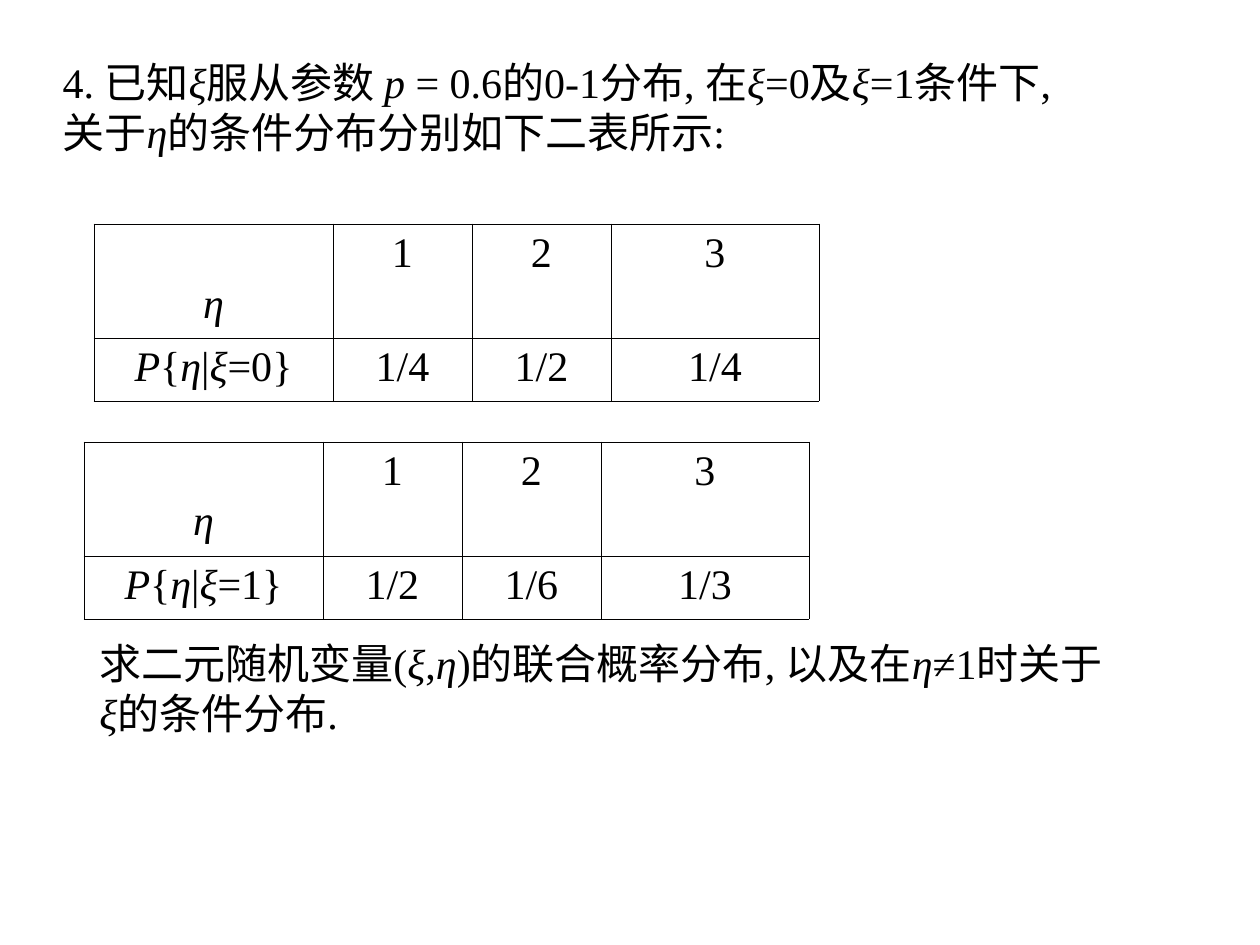
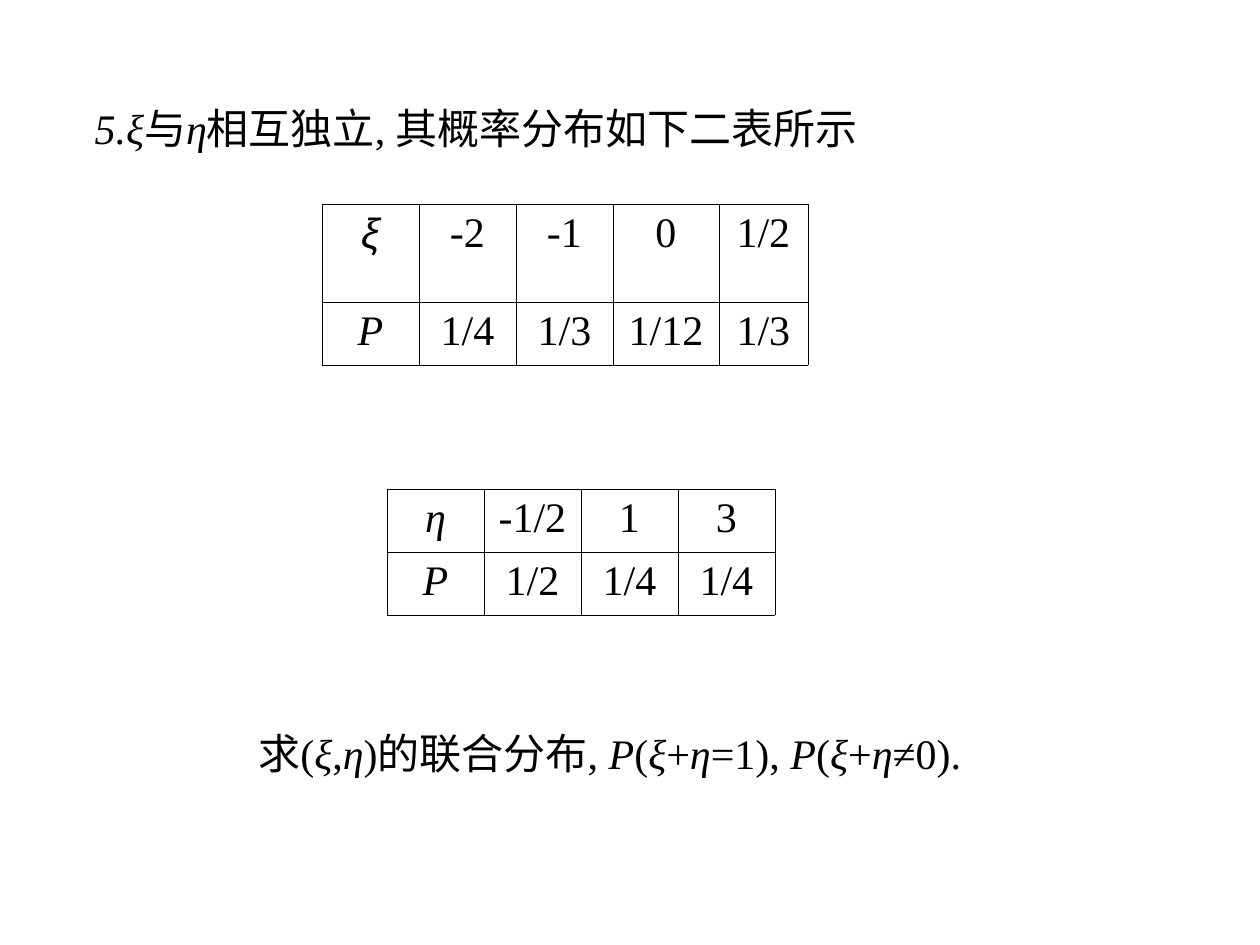
"""Build two exercise slides on conditional and joint distributions."""
from lxml import etree
from pptx import Presentation
from pptx.enum import text
from pptx.dml.color import RGBColor
from pptx.oxml import ns
from pptx.util import Emu, Pt

HUE = {"ink": "000000", "rule": "010000"}
SERIF, SANS = "Times New Roman", "Arial"
SIZE, RULE = 24, 0.45
WIDE = [239, 139, 139, 208]
SLIDES = [
    {
        "title": ((50, 50, 1166, 113), [
            "4. 已知*ξ*服从参数 *p *= 0.6的0-1分布, 在*ξ*=0及*ξ*=1条件下,",
            "关于*η*的条件分布分别如下二表所示:"]),
        "tables": [
            {"at": (94, 224), "cols": WIDE, "rows": [114, 63], "low": True,
             "cells": [["*η*", "1", "2", "3"],
                       ["*P*{*η*|*ξ*=0}", "1/4", "1/2", "1/4"]]},
            {"at": (84, 442), "cols": WIDE, "rows": [114, 63], "low": True,
             "cells": [["*η*", "1", "2", "3"],
                       ["*P*{*η*|*ξ*=1}", "1/2", "1/6", "1/3"]]},
        ],
        "ask": ((87, 631, 1089, 113), [
            "求二元随机变量(*ξ*,*η*)的联合概率分布, 以及在*η*≠1时关于",
            "*ξ*的条件分布."]),
    },
    {
        "title": ((82, 96, 839, 63), ["*5.ξ*与*η*相互独立, 其概率分布如下二表所示"]),
        "tables": [
            {"at": (322, 204), "cols": [97, 97, 97, 106, 89], "rows": [98, 63],
             "face": SANS,
             "cells": [["*ξ*", "-2", "-1", "0", "1/2"],
                       ["*P*", "1/4", "1/3", "1/12", "1/3"]]},
            {"at": (387, 489), "cols": [97] * 4, "rows": [63, 63],
             "cells": [["*η*", "-1/2", "1", "3"],
                       ["*P*", "1/2", "1/4", "1/4"]]},
        ],
        "ask": ((246, 721, 759, 63), [
            "求(*ξ*,*η*)的联合分布, *P*(*ξ*+*η*=1), *P*(*ξ*+*η*≠0)."]),
    },
]


def px(n):
    """Turn pixels into EMU."""
    return Emu(round(n * 914400 / 126))


def write(frame, lines, face=SERIF, align=text.PP_ALIGN.LEFT):
    """Fill a text frame; parts between asterisks are italic."""
    for i, line in enumerate(lines):
        para = frame.paragraphs[0] if i == 0 else frame.add_paragraph()
        para.alignment = align
        for k, part in enumerate(line.split("*")):
            if part:
                run = para.add_run()
                run.text = part
                font = run.font
                font.name, font.size, font.italic = face, Pt(SIZE), k % 2 == 1
                font.color.rgb = RGBColor.from_string(HUE["ink"])


def place(shape, box, lines):
    """Move a text shape and write its lines."""
    shape.left, shape.top, shape.width, shape.height = map(px, box)
    frame = shape.text_frame
    frame.word_wrap = False
    frame.auto_size = text.MSO_AUTO_SIZE.NONE
    frame.vertical_anchor = text.MSO_ANCHOR.MIDDLE
    write(frame, lines)


def edge(cell):
    """Rule all four sides of a cell and clear its fill."""
    props = cell._tc.get_or_add_tcPr()
    for side in "LRTB":
        line = etree.SubElement(props, ns.qn(f"a:ln{side}"), w=str(Pt(RULE)))
        fill = etree.SubElement(line, ns.qn("a:solidFill"))
        etree.SubElement(fill, ns.qn("a:srgbClr"), val=HUE["rule"])
    cell.fill.background()


def grid(slide, at, cols, rows, cells, face=SERIF, low=False):
    """Add a ruled table with centred entries."""
    size = sum(cols), sum(rows)
    table = slide.shapes.add_table(
        len(rows), len(cols), *map(px, at + size)).table
    table.first_row = table.horz_banding = False
    for col, wide in zip(table.columns, cols):
        col.width = px(wide)
    for r, (row, tall) in enumerate(zip(table.rows, rows)):
        row.height = px(tall)
        for c, cell in enumerate(row.cells):
            head = r == c == 0
            write(cell.text_frame, [cells[r][c]], face if head else SERIF,
                  text.PP_ALIGN.CENTER)
            edge(cell)
            if head and low:
                cell.vertical_anchor = text.MSO_ANCHOR.BOTTOM
                cell.margin_bottom = px(11)


def main():
    """Build and save the slides."""
    deck = Presentation()
    deck.slide_width, deck.slide_height = px(1260), px(945)
    for item in SLIDES:
        slide = deck.slides.add_slide(deck.slide_layouts[5])
        place(slide.shapes.title, *item["title"])
        for table in item["tables"]:
            grid(slide, **table)
        box = slide.shapes.add_textbox(0, 0, 0, 0)
        place(box, *item["ask"])
    deck.save("out.pptx")


if __name__ == "__main__":
    main()
